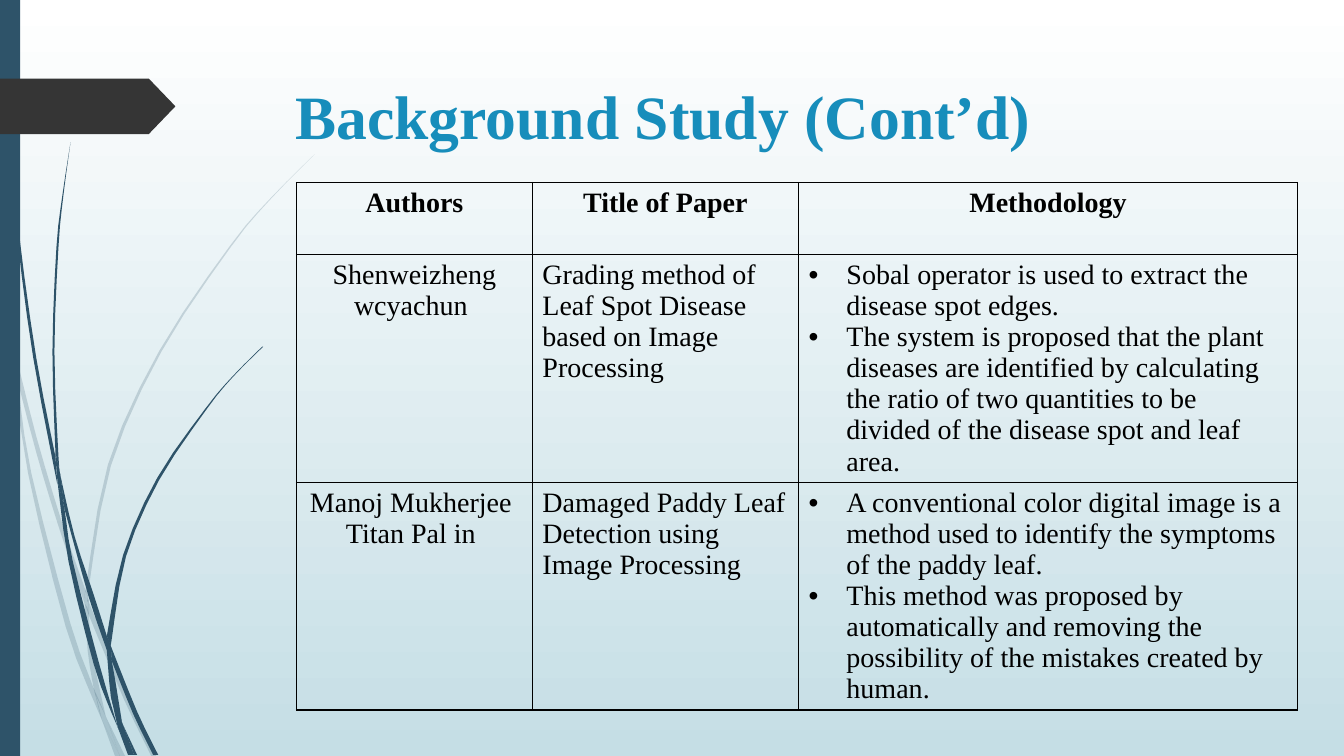
import pptx
import pptx.dml.color
import pptx.enum.shapes
import pptx.enum.text
import pptx.oxml
import pptx.oxml.ns
import pptx.util

GRID = pptx.util.Inches(0.01)
COLUMNS, ROWS = 1333, 750
FONT = "Times New Roman"
NAVY, CHARCOAL, BLUE, BLACK = "2E5369", "353535", "178DBB", "000000"
ALIGN = pptx.enum.text.PP_ALIGN

PALE_BLADES = [
    ([(11, 350), (9, 322), (0, 282)], [(0, 299), (10, 344)]),
    ([(14, 345), (36, 433), (62, 520), (85, 586)], [(84, 599), (58, 522), (36, 449), (17, 376)]),
    ([(88, 596), (92, 607), (127, 692), (155, 750)], [(150, 750), (123, 694), (88, 610)]),
    ([(105, 711), (124, 750)], [(119, 750)]),
    ([(11, 350), (17, 376), (31, 469), (70, 619), (93, 683), (101, 714)],
     [(92, 693), (65, 621), (28, 470), (11, 350)]),
    ([(84, 599), (88, 608), (91, 646), (105, 711)], [(96, 692), (93, 683), (87, 646), (84, 599)]),
    ([(312, 153), (268, 198), (229, 245), (160, 349), (110, 462), (88, 584), (88, 596)],
     [(85, 586), (85, 584), (107, 461), (158, 348), (228, 244), (268, 197), (312, 153)]),
    ([(101, 714), (119, 750)], [(114, 750)]),
    ([(85, 586), (88, 596), (88, 610)], [(84, 599)]),
    ([(93, 683), (105, 711), (119, 750)], [(101, 714), (99, 707)]),
]
DARK_BLADES = [
    ([(3, 0), (4, 48), (7, 110), (17, 233), (33, 355), (57, 481)],
     [(55, 453), (36, 355), (19, 232), (8, 109), (5, 48), (4, 0)]),
    ([(60, 472), (74, 532), (93, 590), (106, 631)], [(106, 645), (88, 592), (64, 505)]),
    ([(110, 641), (136, 706), (157, 749)], [(152, 749), (132, 708), (111, 656)]),
    ([(57, 477), (64, 505), (72, 556), (98, 657), (117, 722)],
     [(111, 708), (93, 659), (68, 557), (57, 477)]),
    ([(70, 141), (63, 193), (58, 245), (54, 349), (58, 453), (60, 472)],
     [(55, 449), (52, 349), (56, 245), (62, 193), (70, 141)]),
    ([(122, 719), (136, 749)], [(133, 749)]),
    ([(55, 449), (60, 472), (64, 505)], [(57, 477), (55, 453)]),
    ([(261, 344), (231, 374), (205, 406), (158, 476), (125, 552), (111, 633), (110, 641)],
     [(106, 631), (122, 551), (156, 474), (204, 405), (231, 373), (260, 344)]),
    ([(117, 722), (131, 749)], [(127, 749)]),
    ([(106, 645), (111, 656), (121, 716), (122, 719)], [(116, 706), (110, 691), (106, 645)]),
    ([(106, 631), (110, 641), (111, 656)], [(106, 645)]),
    ([(110, 691), (122, 719), (133, 749)], [(130, 749), (117, 722)]),
]
HEADINGS = [["Authors"], ["Title of Paper"], ["Methodology"]]
PAPERS = [
    (["Shenweizheng wcyachun "],
     ["Grading method of Leaf Spot Disease based on Image Processing"],
     ["Sobal operator is used to extract the disease spot edges.",
      "The system is proposed that the plant diseases are identified by calculating "
      "the ratio of two quantities to be divided of the disease spot and leaf area."]),
    (["Manoj Mukherjee ", "Titan Pal in "],
     ["Damaged Paddy Leaf Detection using Image Processing"],
     ["A conventional color digital image is a method used to identify the symptoms "
      "of the paddy leaf.",
      "This method was proposed by automatically and removing the possibility of the "
      "mistakes created by human."]),
]


def grid(*counts):
    """Turn grid counts into slide lengths."""
    return [round(count * GRID) for count in counts]


def color(hex_code):
    """Return the colour for a hex string."""
    return pptx.dml.color.RGBColor.from_string(hex_code)


def element(markup):
    """Parse drawing markup whose first tag ends with a space."""
    name, rest = markup.split(" ", 1)
    return pptx.oxml.parse_xml(f'{name} {pptx.oxml.ns.nsdecls("a")} {rest}')


def paint(shape, hex_code, opacity=100):
    """Fill a shape flatly, without line or shadow."""
    shape.shadow.inherit = False
    shape.line.fill.background()
    shape.fill.solid()
    shape.fill.fore_color.rgb = color(hex_code)
    if opacity < 100:
        code = shape.fill._xPr.find(".//" + pptx.oxml.ns.qn("a:srgbClr"))
        code.append(element(f'<a:alpha val="{opacity * 1000}"/>'))


def smooth(knots, steps=3):
    """Return points of a Catmull-Rom curve through the knots."""
    padded = [knots[0], *knots, knots[-1]]
    points = []
    for corners in zip(padded, padded[1:], padded[2:], padded[3:]):
        for t in (step / steps for step in range(steps)):
            points.append([
                b + ((c - a) * t + (2 * a - 5 * b + 4 * c - d) * t ** 2
                     + (3 * b - a - 3 * c + d) * t ** 3) / 2
                for a, b, c, d in zip(*corners)])
    return points + [knots[-1]]


def add_blade(slide, edges, opacity):
    """Draw one part of a grass stem from its two edges."""
    points = [grid(*point) for edge in edges for point in smooth(edge)]
    builder = slide.shapes.build_freeform(*points[0])
    builder.add_line_segments(points[1:], close=True)
    paint(builder.convert_to_shape(), NAVY, opacity)


def add_block(slide, kind, place, hex_code):
    """Add a plain preset shape."""
    shape = slide.shapes.add_shape(kind, *grid(*place))
    paint(shape, hex_code)
    return shape


def set_background(slide):
    """Shade the slide from white down to pale blue."""
    fill = slide.background.fill
    fill.gradient()
    fill.gradient_angle = 270
    for stop, position, code in zip(fill.gradient_stops, (0, 1), ("FFFFFF", "C5DEE5")):
        stop.position = position
        stop.color.rgb = color(code)


def style_font(font, size, hex_code, bold):
    """Set the typeface, size, colour and weight."""
    font.name = FONT
    font.size = pptx.util.Pt(size)
    font.bold = bold
    font.color.rgb = color(hex_code)


def add_title(slide, text):
    """Place and format the title."""
    title = slide.shapes.title
    title.left, title.top, title.width, title.height = grid(283, 72, 975, 101)
    title.text_frame.text = text
    title.text_frame.vertical_anchor = pptx.enum.text.MSO_ANCHOR.TOP
    paragraph = title.text_frame.paragraphs[0]
    paragraph.alignment = ALIGN.LEFT
    style_font(paragraph.font, 44, BLUE, True)


def add_bullet(paragraph):
    """Give a paragraph a round bullet and a hanging indent."""
    properties = paragraph._p.get_or_add_pPr()
    indent, = grid(37.5)
    properties.set("marL", str(indent))
    properties.set("indent", str(-indent))
    properties.append(element('<a:buFont typeface="Arial"/>'))
    properties.append(element('<a:buChar char="•"/>'))


def fill_cell(cell, lines, bold, centered, bulleted):
    """Write a cell's paragraphs and draw its black borders."""
    for side in ("lnL", "lnR", "lnT", "lnB"):
        cell._tc.get_or_add_tcPr().append(element(
            f'<a:{side} w="12700"><a:solidFill><a:srgbClr val="{BLACK}"/>'
            f'</a:solidFill></a:{side}>'))
    cell.fill.background()
    cell.text_frame.text = "\n".join(lines)
    for paragraph in cell.text_frame.paragraphs:
        style_font(paragraph.font, 20, BLACK, bold)
        if centered:
            paragraph.alignment = ALIGN.CENTER
        if bulleted:
            add_bullet(paragraph)


def add_papers(slide):
    """Add the table of papers."""
    widths, heights = grid(234, 264, 495), grid(71.5, 226, 226)
    table = slide.shapes.add_table(
        len(heights), len(widths), *grid(294, 181), sum(widths), sum(heights)).table
    table.first_row = table.horz_banding = False
    for column, width in zip(table.columns, widths):
        column.width = width
    for row, height in zip(table.rows, heights):
        row.height = height
    for row, contents in enumerate([HEADINGS, *PAPERS]):
        heading = row == 0
        for index, lines in enumerate(contents):
            fill_cell(table.cell(row, index), lines, heading,
                      heading or index == 0, not heading and index == 2)


def main():
    """Build and save the slide."""
    presentation = pptx.Presentation()
    presentation.slide_width, presentation.slide_height = grid(COLUMNS, ROWS)
    slide = presentation.slides.add_slide(presentation.slide_layouts[5])
    set_background(slide)
    for blades, opacity in ((PALE_BLADES, 20), (DARK_BLADES, 100)):
        for edges in blades:
            add_blade(slide, edges, opacity)
    kinds = pptx.enum.shapes.MSO_SHAPE
    add_block(slide, kinds.RECTANGLE, (0, 0, 20, ROWS), NAVY)
    tab = add_block(slide, kinds.PENTAGON, (0, 78, 174, 55), CHARCOAL)
    tab.adjustments[0] = 0.48
    add_title(slide, "Background Study (Cont’d)")
    add_papers(slide)
    presentation.save("out.pptx")


if __name__ == "__main__":
    main()
